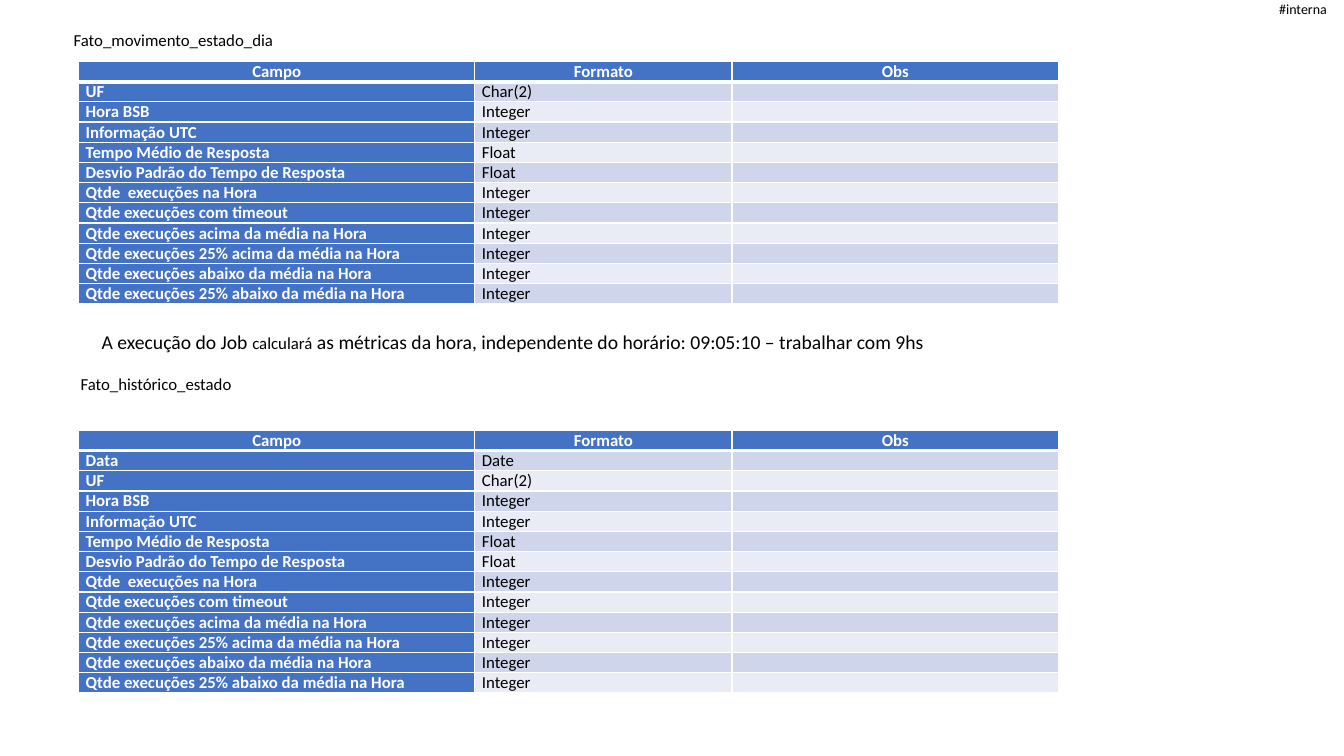
from lxml.etree import SubElement
from pptx import Presentation
from pptx.dml.color import RGBColor
from pptx.enum.text import MSO_ANCHOR as Anchor, PP_ALIGN as Align
from pptx.oxml.ns import qn
from pptx.util import Inches, Pt

THEME = {
    "font": "Calibri",
    "text": "000000", "inverse": "FFFFFF", "header": "4472C4",
    "bands": ("CFD5EA", "E9EBF5"),
    "label": 10, "body": 12, "note": 14,
    "border": 1, "header_border": 3,
}
HEADERS = ("Campo", "Formato", "Obs")
COLUMN_WIDTHS = (3.93, 2.55, 3.24)
ROW_HEIGHT = 0.2
MOVEMENT_FIELDS = [
    ("UF", "Char(2)"),
    ("Hora BSB", "Integer"),
    ("Informação UTC", "Integer"),
    ("Tempo Médio de Resposta", "Float"),
    ("Desvio Padrão do Tempo de Resposta", "Float"),
    ("Qtde  execuções na Hora", "Integer"),
    ("Qtde execuções com timeout", "Integer"),
    ("Qtde execuções acima da média na Hora", "Integer"),
    ("Qtde execuções 25% acima da média na Hora", "Integer"),
    ("Qtde execuções abaixo da média na Hora", "Integer"),
    ("Qtde execuções 25% abaixo da média na Hora", "Integer"),
]
HISTORY_FIELDS = [("Data", "Date")] + MOVEMENT_FIELDS


def set_values(target, values):
    for name, value in values.items():
        setattr(target, name, value)


def add_run(paragraph, text, size, color=THEME["text"], bold=False):
    run = paragraph.add_run()
    run.text = text
    set_values(run.font, {"name": THEME["font"], "size": Pt(size), "bold": bold})
    run.font.color.rgb = RGBColor.from_string(color)


def write_text(shape, box, runs, align=Align.LEFT, wrap=True, inset=0.1):
    """Place a text shape in its box and fill it with (text, size) runs."""
    left, top, width, height = map(Inches, box)
    set_values(shape, {"left": left, "top": top, "width": width, "height": height})
    set_values(shape.text_frame, {
        "word_wrap": wrap, "vertical_anchor": Anchor.MIDDLE,
        "margin_left": Inches(inset), "margin_right": Inches(inset),
        "margin_top": 0, "margin_bottom": 0})
    paragraph = shape.text_frame.paragraphs[0]
    paragraph.alignment = align
    for text, size in runs:
        add_run(paragraph, text, size)


def add_text(slide, box, runs, **options):
    write_text(slide.shapes.add_textbox(0, 0, 0, 0), box, runs, **options)


def set_borders(cell, row):
    widths = {"lnL": THEME["border"], "lnR": THEME["border"],
              "lnT": THEME["header_border" if row == 1 else "border"],
              "lnB": THEME["header_border" if row == 0 else "border"]}
    properties = cell._tc.get_or_add_tcPr()
    for tag, width in widths.items():
        line = SubElement(properties, qn(f"a:{tag}"), w=str(Pt(width)))
        fill = SubElement(line, qn("a:solidFill"))
        SubElement(fill, qn("a:srgbClr"), val=THEME["inverse"])


def format_cell(cell, row, column, text):
    is_header = row == 0 or column == 0
    set_values(cell, {"margin_left": Inches(0.07), "margin_right": Inches(0.07),
                      "margin_top": 0, "margin_bottom": 0})
    set_borders(cell, row)
    cell.fill.solid()
    color = THEME["header"] if is_header else THEME["bands"][(row - 1) % 2]
    cell.fill.fore_color.rgb = RGBColor.from_string(color)
    paragraph = cell.text_frame.paragraphs[0]
    paragraph.alignment = Align.CENTER if row == 0 else Align.LEFT
    if text:
        add_run(paragraph, text, THEME["body"],
                THEME["inverse" if is_header else "text"], is_header)
    else:  # keeps empty cells as low as the others
        paragraph._p.get_or_add_endParaRPr().set("sz", str(THEME["body"] * 100))


def add_field_table(slide, left, top, fields):
    rows = [HEADERS] + [(*field, "") for field in fields]
    table = slide.shapes.add_table(
        len(rows), len(HEADERS), Inches(left), Inches(top),
        Inches(sum(COLUMN_WIDTHS)), Inches(ROW_HEIGHT * len(rows))).table
    table.first_col = True
    for column, width in zip(table.columns, COLUMN_WIDTHS):
        column.width = Inches(width)
    for row, texts in enumerate(rows):
        table.rows[row].height = Inches(ROW_HEIGHT)
        for column, text in enumerate(texts):
            format_cell(table.cell(row, column), row, column, text)


def build_tables_slide(presentation):
    slide = presentation.slides.add_slide(presentation.slide_layouts[5])
    # Classification label
    add_text(slide, (12.4, 0, 0.76, 0.17), [("#interna", THEME["label"])],
             align=Align.RIGHT, inset=0)
    # Daily movement
    write_text(slide.shapes.title, (0.63, 0.27, 9.72, 0.25),
               [("Fato_movimento_estado_dia", THEME["body"])])
    add_field_table(slide, 0.78, 0.61, MOVEMENT_FIELDS)
    # Execution note
    add_text(slide, (0.91, 3.22, 8.43, 0.34), [
        ("A execução do Job ", THEME["note"]),
        ("calculará", THEME["body"]),
        (" as métricas da hora, independente do horário: 09:05:10 – "
         "trabalhar com 9hs", THEME["note"])], wrap=False)
    # History
    add_text(slide, (0.7, 3.68, 9.72, 0.25),
             [("Fato_histórico_estado", THEME["body"])])
    add_field_table(slide, 0.78, 4.27, HISTORY_FIELDS)


presentation = Presentation()
set_values(presentation, {"slide_width": Inches(13.33), "slide_height": Inches(7.5)})
build_tables_slide(presentation)
presentation.save("out.pptx")
